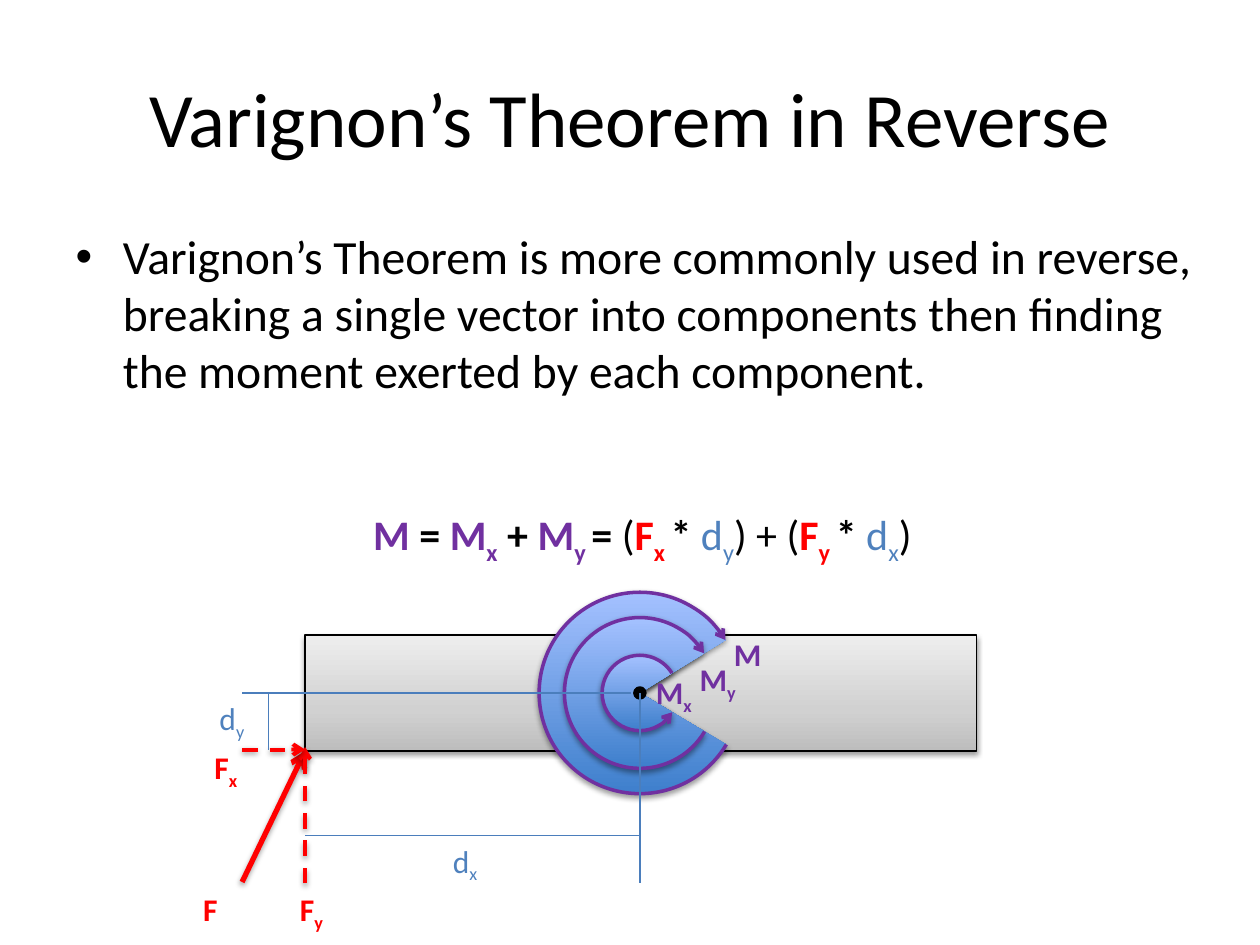
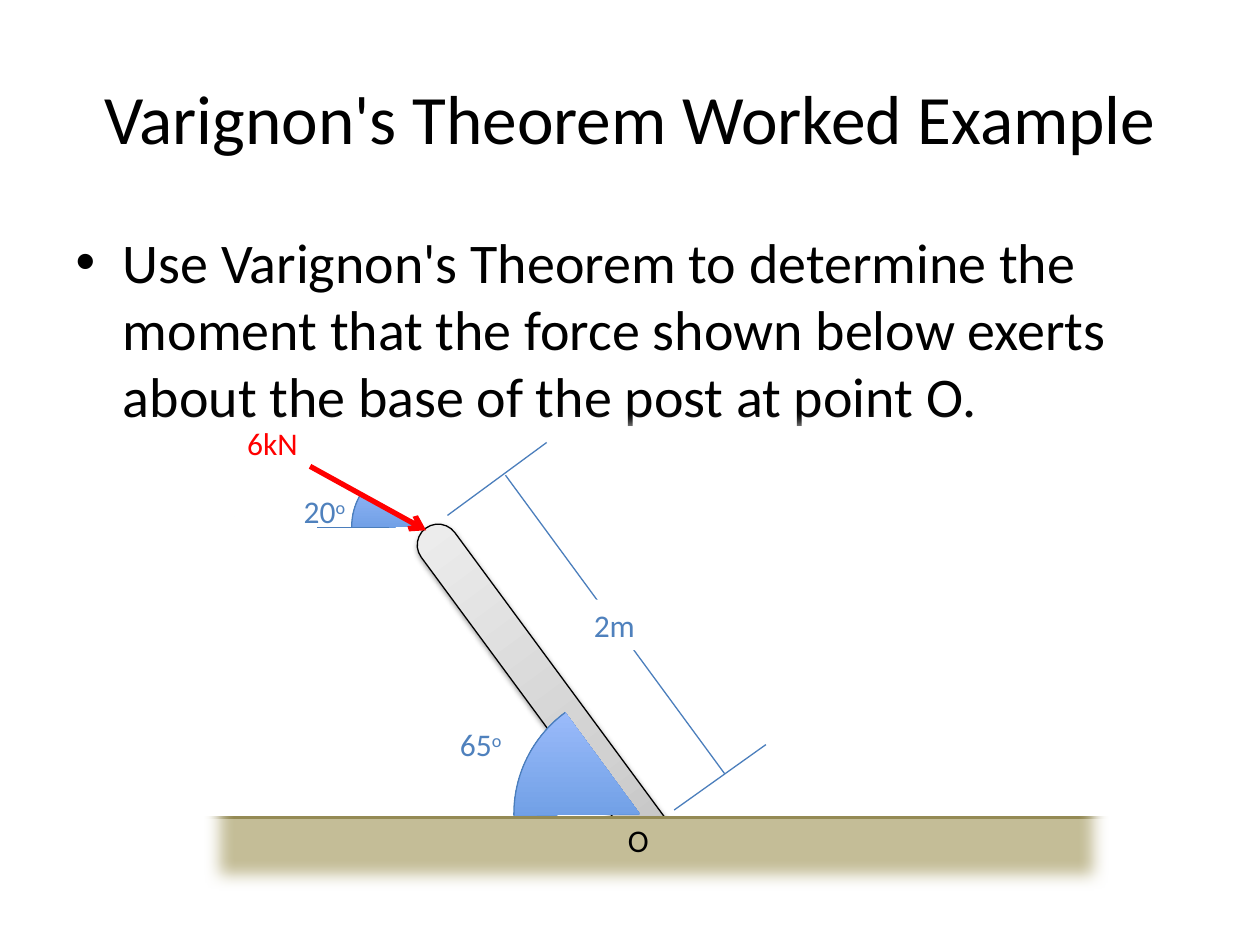
import dataclasses

import lxml.etree
import pptx
import pptx.dml.color
import pptx.enum.dml
import pptx.enum.shapes
import pptx.enum.text
import pptx.oxml.ns
import pptx.util

Cm = pptx.util.Cm
Pt = pptx.util.Pt
RGBColor = pptx.dml.color.RGBColor
SHAPE = pptx.enum.shapes.MSO_SHAPE
STRAIGHT = pptx.enum.shapes.MSO_CONNECTOR.STRAIGHT
qn = pptx.oxml.ns.qn


@dataclasses.dataclass(frozen=True)
class Theme:
    font: str = "Calibri"
    black: str = "000000"
    white: str = "FFFFFF"
    force: str = "FF0000"
    moment: str = "7030A0"
    distance: str = "4F81BD"
    dimension_line: str = "4B7EBC"
    ground: str = "C4BD97"
    ground_edge: str = "948A54"
    metal: tuple = ((0, "BDBDBD"), (35, "D1D1D1"), (100, "EEEEEE"))
    label_size: float = 18
    equation_size: float = 24
    thin: float = 0.75
    medium: float = 2
    dashed: float = 2.25
    thick: float = 3
    subscript: int = -25
    superscript: int = 30


theme = Theme()


def outline(shape, color, width, arrow=None, shadow=False):
    """Draw the line of a shape; arrow is None, "headEnd" or "tailEnd"."""
    shape.line.fill.solid()
    shape.line.fill.fore_color.rgb = RGBColor.from_string(color)
    shape.line.width = Pt(width)
    if width == theme.dashed:
        shape.line.dash_style = pptx.enum.dml.MSO_LINE.DASH
    properties = shape.element.spPr
    if arrow:
        line = properties.find(qn("a:ln"))
        lxml.etree.SubElement(line, qn("a:" + arrow), type="arrow")
    effects = lxml.etree.SubElement(properties, qn("a:effectLst"))
    if shadow:
        outer = lxml.etree.SubElement(
            effects, qn("a:outerShdw"), blurRad="40000", dist="20000",
            dir="5400000", rotWithShape="0")
        tint = lxml.etree.SubElement(outer, qn("a:srgbClr"), val=theme.black)
        lxml.etree.SubElement(tint, qn("a:alpha"), val="38000")


def add_label(slide, left, top, width, pieces, size=theme.label_size, fill=None):
    """Add centred text; each piece is text, colour, bold, baseline percent."""
    box = slide.shapes.add_textbox(Cm(left), Cm(top), Cm(width), Cm(1.02))
    box.text_frame.word_wrap = False
    if fill:
        box.fill.solid()
        box.fill.fore_color.rgb = RGBColor.from_string(fill)
    paragraph = box.text_frame.paragraphs[0]
    paragraph.alignment = pptx.enum.text.PP_ALIGN.CENTER
    for text, color, bold, baseline in pieces:
        run = paragraph.add_run()
        run.text = text
        run.font.name = theme.font
        run.font.size = Pt(size)
        run.font.bold = bold
        run.font.color.rgb = RGBColor.from_string(color)
        if baseline:
            run._r.get_or_add_rPr().set("baseline", str(baseline * 1000))


presentation = pptx.Presentation()
presentation.slide_width = Cm(25.4)
presentation.slide_height = Cm(19.05)

# Titles and bullets
contents = [
    ("Varignon’s Theorem in Reverse", 44,
     "Varignon’s Theorem is more commonly used in reverse, breaking a single "
     "vector into components then finding the moment exerted by each component.",
     27.2, 3.99),
    ("Varignon's Theorem Worked Example", 39.6,
     "Use Varignon's Theorem to determine the moment that the force shown below "
     "exerts about the base of the post at point O.", 32, 4.24),
]
for title, title_size, bullet, bullet_size, body_height in contents:
    slide = presentation.slides.add_slide(presentation.slide_layouts[1])
    title_shape, body_shape = slide.placeholders
    for shape, text, size, top, height in (
            (title_shape, title, title_size, 0.76, 3.18),
            (body_shape, bullet, bullet_size, 4.45, body_height)):
        shape.left, shape.top = Cm(1.27), Cm(top)
        shape.width, shape.height = Cm(22.86), Cm(height)
        shape.text_frame.text = text
        shape.text_frame.auto_size = pptx.enum.text.MSO_AUTO_SIZE.NONE
        shape.text_frame.margin_right = Cm(0.25 if shape is title_shape else 0)
        paragraph = shape.text_frame.paragraphs[0]
        paragraph.space_before = Pt(0)
        font = paragraph.runs[0].font
        font.name = theme.font
        font.size = Pt(size)
        font.color.rgb = RGBColor.from_string(theme.black)

reverse_slide, example_slide = presentation.slides

# Beam with the force at its lower left corner
beam_left, beam_bottom = 6.15, 15.14
pivot_x, pivot_y = 12.9, 13.97
beam = reverse_slide.shapes.add_shape(
    SHAPE.RECTANGLE, Cm(beam_left), Cm(12.8), Cm(13.54), Cm(2.34))
outline(beam, theme.black, theme.thin, shadow=True)

for radius, arrow in ((2.03, "tailEnd"), (1.52, "tailEnd"), (0.76, "headEnd")):
    moment_arc = reverse_slide.shapes.add_shape(
        SHAPE.ARC, Cm(pivot_x - radius), Cm(pivot_y - radius),
        Cm(2 * radius), Cm(2 * radius))
    moment_arc.adjustments[0] = 30.8 * 0.6
    moment_arc.adjustments[1] = 328.3 * 0.6
    outline(moment_arc, theme.moment, theme.medium, arrow, shadow=True)

pivot = reverse_slide.shapes.add_shape(
    SHAPE.OVAL, Cm(pivot_x - 0.1), Cm(pivot_y - 0.1), Cm(0.2), Cm(0.2))
pivot.fill.solid()
pivot.fill.fore_color.rgb = RGBColor.from_string(theme.black)
outline(pivot, theme.black, theme.medium)

reverse_dimensions = [
    (12.73, pivot_y, 4.88, pivot_y),
    (pivot_x, pivot_y, pivot_x, 17.81),
    (pivot_x, 16.84, beam_left, 16.84),
    (5.41, 15.11, 5.41, pivot_y),
]
force_lines = [
    (4.88, 17.78, beam_left, beam_bottom, theme.thick),
    (beam_left, 17.81, beam_left, 15.06, theme.dashed),
    (4.88, 15.11, beam_left, 15.11, theme.dashed),
]
for *ends, width in force_lines:
    force = reverse_slide.shapes.add_connector(STRAIGHT, *map(Cm, ends))
    outline(force, theme.force, width, "tailEnd", shadow=True)

reverse_labels = [
    (8.64, 16.84, 1.47, "d", "x", theme.distance),
    (3.94, 13.97, 1.47, "d", "y", theme.distance),
    (3.81, 17.81, 0.86, "F", "", theme.force),
    (4.01, 14.96, 1.09, "F", "x", theme.force),
    (5.72, 17.81, 1.12, "F", "y", theme.force),
    (14.5, 12.67, 1.14, "M", "", theme.moment),
    (12.9, 13.44, 1.37, "M", "x", theme.moment),
    (13.77, 13.18, 1.4, "M", "y", theme.moment),
]
for left, top, width, symbol, index, color in reverse_labels:
    bold = color != theme.distance
    pieces = [(symbol, color, bold, 0)]
    if index:
        pieces.append((index, color, bold, theme.subscript))
    add_label(reverse_slide, left, top, width, pieces)

equation = [
    ("M ", theme.moment, True, 0),
    ("= ", theme.black, True, 0),
    ("M", theme.moment, True, 0),
    ("x", theme.moment, True, theme.subscript),
    (" + ", theme.black, True, 0),
    ("M", theme.moment, True, 0),
    ("y ", theme.moment, True, theme.subscript),
    ("= ", theme.black, True, 0),
    ("(", theme.black, False, 0),
    ("F", theme.force, True, 0),
    ("x ", theme.force, True, theme.subscript),
    ("* ", theme.black, True, 0),
    ("d", theme.distance, False, 0),
    ("y", theme.distance, False, theme.subscript),
    (") + (", theme.black, False, 0),
    ("F", theme.force, True, 0),
    ("y ", theme.force, True, theme.subscript),
    ("* ", theme.black, True, 0),
    ("d", theme.distance, False, 0),
    ("x", theme.distance, False, theme.subscript),
    (")", theme.black, False, 0),
]
add_label(reverse_slide, 5.38, 10.13, 15.14, equation, theme.equation_size)

# Leaning post in the ground, faded out by a soft white frame
post = example_slide.shapes.add_shape(
    SHAPE.ROUNDED_RECTANGLE, Cm(10.74), Cm(9.8), Cm(0.84), Cm(8.69))
post.adjustments[0] = 0.5
post.rotation = 323.6
outline(post, theme.black, theme.thin, shadow=True)

ground = example_slide.shapes.add_shape(
    SHAPE.RECTANGLE, Cm(3.38), Cm(16.48), Cm(19.25), Cm(2.16))
ground.fill.solid()
ground.fill.fore_color.rgb = RGBColor.from_string(theme.ground)
outline(ground, theme.ground_edge, theme.medium)

frame = example_slide.shapes.add_shape(
    SHAPE.FRAME, Cm(2.64), Cm(8.31), Cm(21.23), Cm(11.13))
frame.adjustments[0] = 0.19
frame.fill.solid()
frame.fill.fore_color.rgb = RGBColor.from_string(theme.white)
frame.line.fill.background()
frame_effects = lxml.etree.SubElement(frame.element.spPr, qn("a:effectLst"))
lxml.etree.SubElement(frame_effects, qn("a:softEdge"), rad="112500")

for left, top, diameter, end_angle in (
        (10.36, 13.87, 5.08, 233.7), (7.09, 9.35, 2.54, 211.2)):
    angle_arc = example_slide.shapes.add_shape(
        SHAPE.ARC, Cm(left), Cm(top), Cm(diameter), Cm(diameter))
    angle_arc.adjustments[0] = 179.3 * 0.6
    angle_arc.adjustments[1] = end_angle * 0.6
    outline(angle_arc, theme.dimension_line, theme.thin)

example_dimensions = [
    (9.02, 10.39, 11.02, 8.92),
    (13.59, 16.33, 15.44, 15.01),
    (14.61, 15.6, 10.19, 9.58),
    (6.4, 10.64, 7.85, 10.64),
]
for slide, dimensions in ((reverse_slide, reverse_dimensions),
                          (example_slide, example_dimensions)):
    for ends in dimensions:
        dimension = slide.shapes.add_connector(STRAIGHT, *map(Cm, ends))
        outline(dimension, theme.dimension_line, theme.thin)

applied_force = example_slide.shapes.add_connector(
    STRAIGHT, Cm(6.25), Cm(9.4), Cm(8.59), Cm(10.69))
outline(applied_force, theme.force, theme.thick, "tailEnd")

example_labels = [
    (11.71, 12.09, 1.35, "2m", "", theme.distance, theme.white),
    (8.99, 14.5, 1.4, "65", "o", theme.distance, theme.white),
    (4.72, 8.43, 1.55, "6kN", "", theme.force, None),
    (5.84, 9.8, 1.4, "20", "o", theme.distance, None),
    (12.4, 16.43, 0.94, "O", "", theme.black, None),
]
for left, top, width, value, degree, color, fill in example_labels:
    pieces = [(value, color, False, 0)]
    if degree:
        pieces.append((degree, color, False, theme.superscript))
    add_label(example_slide, left, top, width, pieces, fill=fill)

# Brushed metal on the beam and the post
for body in (beam, post):
    body.fill.gradient()
    body.fill.gradient_angle = 90
    stops = body.element.spPr.find(qn("a:gradFill")).find(qn("a:gsLst"))
    for stop in list(stops):
        stops.remove(stop)
    for position, color in theme.metal:
        stop = lxml.etree.SubElement(stops, qn("a:gs"), pos=str(position * 1000))
        lxml.etree.SubElement(stop, qn("a:srgbClr"), val=color)

presentation.save("out.pptx")
